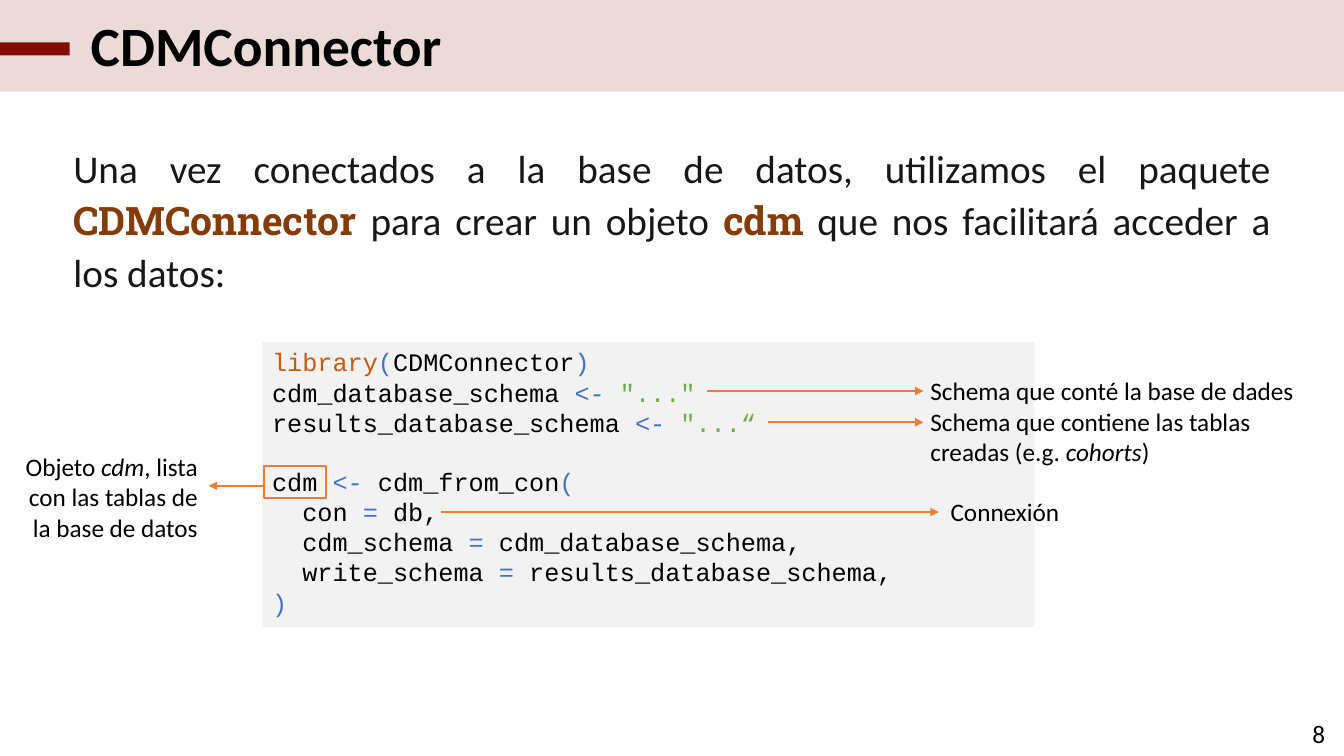
from lxml import etree
from pptx import Presentation
from pptx.dml.color import RGBColor
from pptx.enum import shapes, text
from pptx.oxml.ns import qn
from pptx.util import Inches, Pt

# Content: each paragraph is a list of (text, style) runs
TITLE = [("CDMConnector", "title")]
INTRO = [
    ("Una vez conectados a la base de datos, utilizamos el paquete ", "body"),
    ("CDMConnector", "keyword"),
    (" para crear un objeto ", "body"),
    ("cdm", "keyword"),
    (" que nos facilitará acceder a los datos:", "body"),
]
SETUP_CODE = [
    [("library", "function"), ("(", "operator"), ("CDMConnector", "code"), (")", "operator")],
    [("cdm_database_schema ", "code"), ("<- ", "operator"), ('"..."', "string")],
    [("results_database_schema ", "code"), ("<- ", "operator"), ('"...“', "string")],
]
CALL_CODE = [
    [("cdm", "code"), (" <- ", "operator"), ("cdm_from_con", "code"), ("(", "operator")],
    [("  con", "code"), (" = ", "operator"), ("db,", "code")],
    [("  cdm_schema ", "code"), ("= ", "operator"), ("cdm_database_schema,", "code")],
    [("  write_schema ", "code"), ("= ", "operator"), ("results_database_schema,", "code")],
    [(")", "operator")],
]
LEFT, RIGHT, CENTER = text.PP_ALIGN.LEFT, text.PP_ALIGN.RIGHT, text.PP_ALIGN.CENTER
# Notes: runs, (left, top, width, height), alignment
NOTES = [
    ([("Objeto ", "note"), ("cdm", "italic"),
      (", lista con las tablas de la base de datos", "note")], (0.03, 4.43, 2.03, 1.01), RIGHT),
    ([("Schema que conté la base de dades", "note")], (9.13, 3.67, 4.17, 0.4), LEFT),
    ([("Schema que contiene las tablas creadas (e.g. ", "note"), ("cohorts", "italic"),
      (")", "note")], (9.13, 3.98, 3.67, 0.71), LEFT),
    ([("Connexión", "note")], (9.33, 4.87, 2.07, 0.4), LEFT),
    ([("8", "note")], (12.84, 7.08, 0.48, 0.4), CENTER),
]
# Arrows: start x, end x, y
ARROWS = [(7.01, 9.16, 3.88), (7.62, 9.16, 4.19), (2.62, 2.07, 4.82), (4.37, 9.31, 5.08)]

COLORS = {
    "red": "840C06", "black": "000000", "ink": "181717", "brown": "843C0B", "panel": "F2F2F2",
    "rust": "C55A11", "blue": "4472C4", "green": "70AD47", "orange": "ED7D31",
}
# Styles: font, size, colour, bold, italic
STYLES = {
    "title": ("Calibri", 39.6, "black", True, False),
    "body": ("Calibri", 28, "ink", False, False),
    "keyword": ("Roboto Slab", 28, "brown", True, False),
    "note": ("Calibri", 18, "black", False, False),
    "italic": ("Calibri", 18, "black", False, True),
    "code": ("Courier New", 18, "black", False, False),
    "operator": ("Courier New", 18, "blue", False, False),
    "function": ("Courier New", 18, "rust", False, False),
    "string": ("Courier New", 18, "green", False, False),
}
CODE_LINE = 20.4  # points

deck = Presentation()
deck.slide_width, deck.slide_height = Inches(13.33), Inches(7.5)
page = deck.slides.add_slide(deck.slide_layouts[5])


def color(name):
    return RGBColor.from_string(COLORS[name])


def write(frame, paragraphs, align=LEFT, anchor=text.MSO_ANCHOR.TOP):
    frame.word_wrap = True
    frame.auto_size = text.MSO_AUTO_SIZE.NONE
    frame.vertical_anchor = anchor
    for index, runs in enumerate(paragraphs):
        para = frame.add_paragraph() if index else frame.paragraphs[0]
        para.alignment = align
        for words, style in runs:
            span = para.add_run()
            span.text = words
            font = span.font
            font.name, size, tint, font.bold, font.italic = STYLES[style]
            font.size = Pt(size)
            font.color.rgb = color(tint)
    return frame.paragraphs


def add_text(area, paragraphs, align=LEFT):
    box = page.shapes.add_textbox(*map(Inches, area))
    return write(box.text_frame, paragraphs, align)


def add_box(area, fill=None, line=None):
    box = page.shapes.add_shape(shapes.MSO_SHAPE.RECTANGLE, *map(Inches, area))
    box.shadow.inherit = False
    if fill:
        box.fill.solid()
        box.fill.fore_color.rgb = color(fill)
    else:
        box.fill.background()
    if line:
        box.line.color.rgb = color(line)
        box.line.width = Pt(1.5)
    else:
        box.line.fill.background()
    return box


def add_arrow(start, end, y):
    arrow = page.shapes.add_connector(
        shapes.MSO_CONNECTOR.STRAIGHT, Inches(start), Inches(y), Inches(end), Inches(y))
    arrow.line.color.rgb = color("orange")
    arrow.line.width = Pt(1.5)
    etree.SubElement(arrow.line._get_or_add_ln(), qn("a:tailEnd"), type="triangle")
    etree.SubElement(arrow._element.spPr, qn("a:effectLst"))


# Header: translucent band behind the title, solid accent bar
band = add_box((0, 0, 13.33, 0.91), "red")
tint = band._element.spPr.find(qn("a:solidFill"))[0]
etree.SubElement(tint, qn("a:alpha"), val="15000")
title = page.shapes.title
title._element.addprevious(band._element)
title.left, title.top, title.width, title.height = map(Inches, (0.8, 0.13, 11.73, 0.71))
write(title.text_frame, [TITLE], anchor=text.MSO_ANCHOR.MIDDLE)[0].line_spacing = 0.9
add_box((0, 0.42, 0.69, 0.13), "red")

# Introduction
intro = add_text((0.63, 1.34, 12.07, 1.72), [INTRO], text.PP_ALIGN.JUSTIFY)[0]
intro.line_spacing = 1.1
intro.space_before = Pt(18)

# Code panel, one line of space before the call
panel = add_box((2.6, 3.39, 7.66, 2.83), "panel")
code = write(panel.text_frame, SETUP_CODE + CALL_CODE)
code[len(SETUP_CODE)].space_before = Pt(CODE_LINE)
add_box((2.62, 4.62, 0.61, 0.32), line="orange")

# Arrows, notes and page number
for arrow in ARROWS:
    add_arrow(*arrow)
for runs, area, align in NOTES:
    add_text(area, [runs], align)

deck.save("out.pptx")
